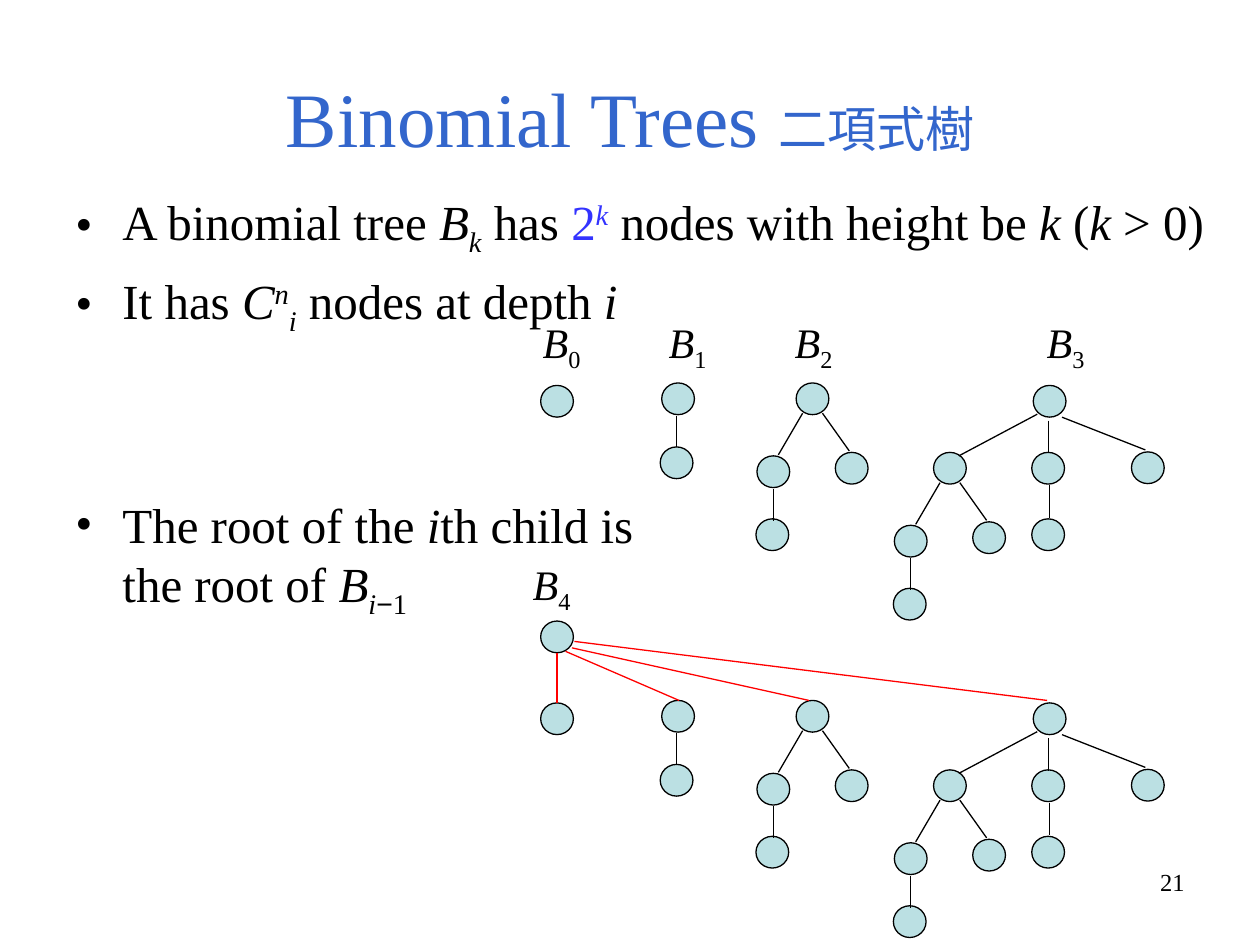
from dataclasses import dataclass
from typing import NamedTuple

from lxml import etree
from pptx import Presentation
from pptx.dml.color import RGBColor
from pptx.enum.shapes import MSO_CONNECTOR, MSO_SHAPE
from pptx.enum.text import MSO_ANCHOR, PP_ALIGN
from pptx.oxml.ns import qn
from pptx.util import Cm, Pt

STRAIGHT = MSO_CONNECTOR.STRAIGHT
OVAL = MSO_SHAPE.OVAL
MIDDLE = MSO_ANCHOR.MIDDLE
CENTER, RIGHT = PP_ALIGN.CENTER, PP_ALIGN.RIGHT

COLORS = {
    "title": "3366CC",
    "text": "000000",
    "power": "3333FF",
    "node": "BBE0E3",
    "edge": "000000",
    "new_edge": "FF0000",
}
FONT = "Times New Roman"
SUB, SUPER = -25000, 30000
NODE_W, NODE_H = 0.66, 0.64
FOREST_DROP = 6.4  # distance from the separate trees down to the children of B4


class Span(NamedTuple):
    text: str
    italic: bool = False
    baseline: int = 0
    color: str = ""
    font: str = ""


class Edge(NamedTuple):
    x1: float
    y1: float
    x2: float
    y2: float

    def shifted(self, dx: float, dy: float) -> "Edge":
        return Edge(self.x1 + dx, self.y1 + dy, self.x2 + dx, self.y2 + dy)


@dataclass(frozen=True)
class Tree:
    """Nodes and edges in cm from the top left of the root node."""
    x: float
    y: float
    nodes: tuple
    edges: tuple = ()


def var(name: str) -> Span:
    return Span(name, italic=True)


def sub(text: str, italic: bool = False, font: str = "") -> Span:
    return Span(text, italic, SUB, font=font)


def add_spans(paragraph, spans: list[Span], size: int) -> None:
    paragraph.font.size = Pt(size)
    paragraph.font.name = FONT
    paragraph.font.color.rgb = RGBColor.from_string(COLORS["text"])
    for span in spans:
        if span.text == "\n":
            paragraph.add_line_break()
            continue
        run = paragraph.add_run()
        run.text = span.text
        if span.italic:
            run.font.italic = True
        if span.color:
            run.font.color.rgb = RGBColor.from_string(COLORS[span.color])
        if span.font:
            run.font.name = span.font
        if span.baseline:
            run.font._element.set("baseline", str(span.baseline))


def add_text_frame(slide, left: float, top: float, width: float, height: float):
    frame = slide.shapes.add_textbox(Cm(left), Cm(top), Cm(width), Cm(height)).text_frame
    frame.word_wrap = True
    return frame


def add_bullet(paragraph) -> None:
    properties = paragraph._p.get_or_add_pPr()
    properties.set("marL", str(Cm(0.95)))
    properties.set("indent", str(-Cm(0.95)))
    etree.SubElement(properties, qn("a:buFont"), typeface=FONT)
    etree.SubElement(properties, qn("a:buChar"), char="•")


def add_tab_stops(paragraph, step: float, count: int) -> None:
    stops = etree.SubElement(paragraph._p.get_or_add_pPr(), qn("a:tabLst"))
    for number in range(1, count + 1):
        etree.SubElement(stops, qn("a:tab"), pos=str(Cm(step * number)), algn="l")


def add_tree_labels(slide, left: float, top: float, spans: list[Span]) -> None:
    paragraph = add_text_frame(slide, left, top, 13.4, 1.42).paragraphs[0]
    add_tab_stops(paragraph, 2.54, 4)
    add_spans(paragraph, spans, 24)


def draw_node(slide, x: float, y: float) -> None:
    node = slide.shapes.add_shape(OVAL, Cm(x), Cm(y), Cm(NODE_W), Cm(NODE_H))
    node.shadow.inherit = False
    node.fill.solid()
    node.fill.fore_color.rgb = RGBColor.from_string(COLORS["node"])
    node.line.color.rgb = RGBColor.from_string(COLORS["edge"])
    node.line.width = Pt(0.75)


def draw_edge(slide, edge: Edge, color: str) -> None:
    line = slide.shapes.add_connector(STRAIGHT, *(Cm(value) for value in edge))
    line.line.color.rgb = RGBColor.from_string(COLORS[color])
    line.line.width = Pt(0.75)
    etree.SubElement(line._element.spPr, qn("a:effectLst"))


def draw_tree(slide, tree: Tree, drop: float = 0) -> None:
    for x, y in tree.nodes:
        draw_node(slide, tree.x + x, tree.y + drop + y)
    for edge in tree.edges:
        draw_edge(slide, edge.shifted(tree.x, tree.y + drop), "edge")


B0 = Tree(10.9, 7.77, ((0, 0),))
B1 = Tree(13.34, 7.72, ((0, 0), (-0.03, 1.29)), (Edge(0.3, 0.66, 0.3, 1.3),))
B2 = Tree(
    16.05, 7.72,
    ((0, 0), (-0.79, 1.47), (-0.81, 2.74), (0.79, 1.4)),
    (Edge(-0.46, 2.13, -0.46, 2.78), Edge(0.13, 0.61, -0.36, 1.45),
     Edge(0.53, 0.61, 1.07, 1.37)),
)
B2_DX, B2_DY = -2.01, 1.35  # place of B2 as the first child of B3
B3 = Tree(
    20.83, 7.77,
    ((0, 0), (-0.03, 1.35), (-0.03, 2.69), (1.98, 1.34))
    + tuple((x + B2_DX, y + B2_DY) for x, y in B2.nodes),
    (Edge(0.3, 0.71, 0.3, 1.37), Edge(0.33, 2.01, 0.33, 2.67),
     Edge(0.58, 0.64, 2.26, 1.3), Edge(0.08, 0.58, -1.5, 1.42))
    + tuple(edge.shifted(B2_DX, B2_DY) for edge in B2.edges),
)
B4_ROOT = (10.9, 12.52)
B4_EDGES = (
    Edge(11.23, 13.16, 11.23, 14.17),
    Edge(11.4, 13.13, 13.69, 14.12),
    Edge(11.53, 13.06, 16.31, 14.12),
    Edge(11.58, 12.93, 21.11, 14.12),
)
# Space before in points, then the statement
STATEMENTS = (
    (0, [Span("A binomial tree "), var("B"), sub("k", True), Span(" has "),
         Span("2", color="power"), Span("k", True, SUPER, "power"),
         Span(" nodes with height be "), var("k "), Span("("), var("k"), Span(" > 0)")]),
    (7, [Span("It has "), var("C"), Span("n", True, SUPER), sub("i", True),
         Span(" nodes at depth "), var("i")]),
    (90, [Span("The root of the "), var("i"), Span("th child is"), Span("\n"),
          Span("the root of "), var("B"), sub("i", True), sub("−", font="Arial"), sub("1")]),
)


def main() -> None:
    prs = Presentation()
    prs.slide_width, prs.slide_height = Cm(25.4), Cm(19.05)
    slide = prs.slides.add_slide(prs.slide_layouts[5])

    title = slide.shapes.title
    title.left, title.top, title.width, title.height = Cm(1.27), Cm(0.76), Cm(22.86), Cm(3.18)
    title.text_frame.vertical_anchor = MIDDLE
    heading = title.text_frame.paragraphs[0]
    heading.alignment = CENTER
    heading.font.name = FONT
    heading.font.color.rgb = RGBColor.from_string(COLORS["title"])
    for text, size in (("Binomial Trees ", 44), ("二項式樹", 28)):
        run = heading.add_run()
        run.text = text
        run.font.size = Pt(size)

    body = add_text_frame(slide, 1.27, 3.73, 23.44, 13.28)
    for index, (space_before, spans) in enumerate(STATEMENTS):
        paragraph = body.add_paragraph() if index else body.paragraphs[0]
        paragraph.space_before = Pt(space_before)
        add_bullet(paragraph)
        add_spans(paragraph, spans, 28)

    for tree in (B0, B1, B2, B3):
        draw_tree(slide, tree)
        draw_tree(slide, tree, FOREST_DROP)
    draw_node(slide, *B4_ROOT)
    for edge in B4_EDGES:
        draw_edge(slide, edge, "new_edge")

    add_tree_labels(slide, 10.69, 6.25, [
        var("B"), sub("0\t"), var("B"), sub("1\t"), var("B"), sub("2\t\t"), var("B"), sub("3")])
    add_tree_labels(slide, 10.49, 11.13, [var("B"), sub("4")])

    page_number = add_text_frame(slide, 18.21, 17.35, 5.92, 1.32).paragraphs[0]
    page_number.alignment = RIGHT
    add_spans(page_number, [Span("21")], 14)

    prs.save("out.pptx")


if __name__ == "__main__":
    main()
